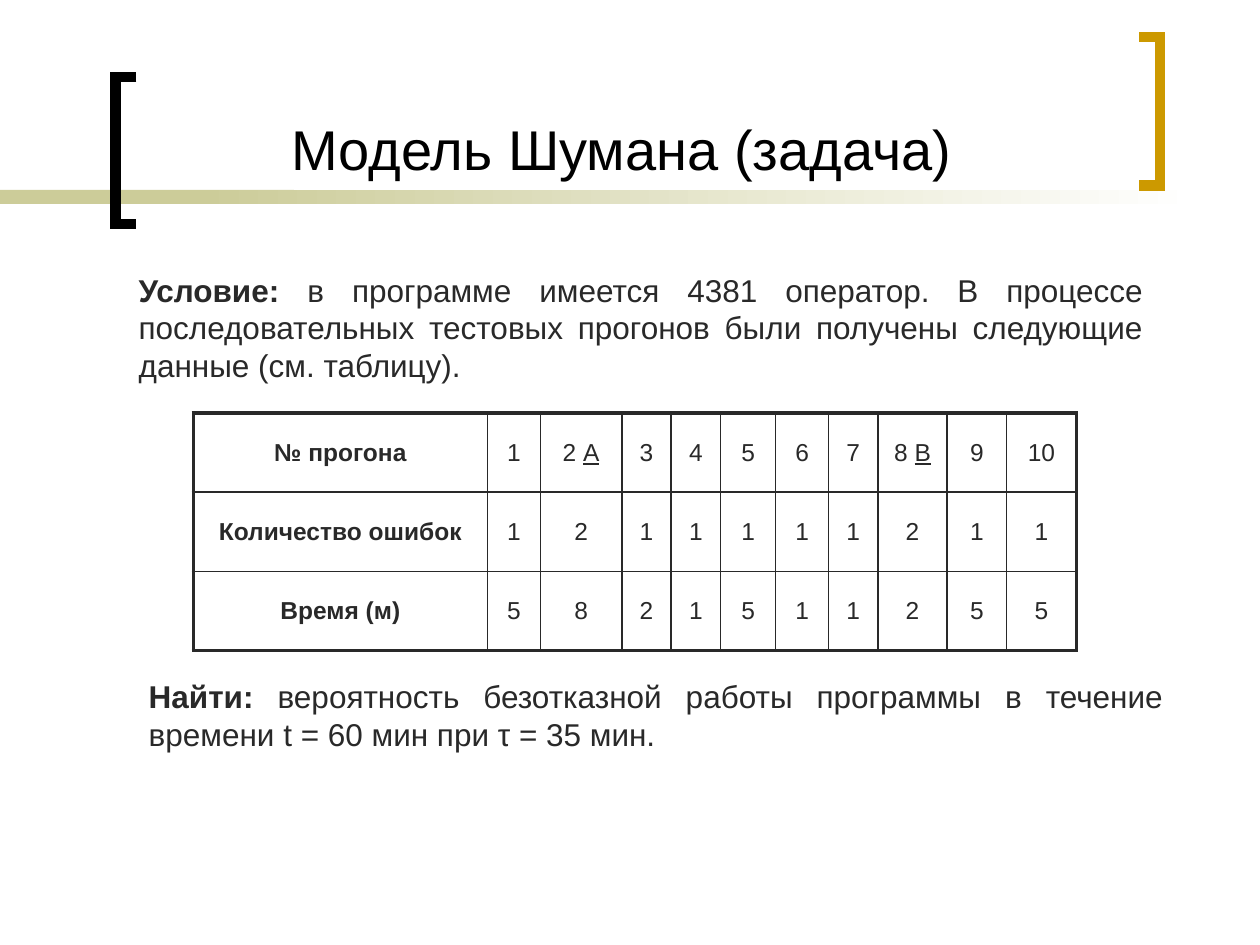
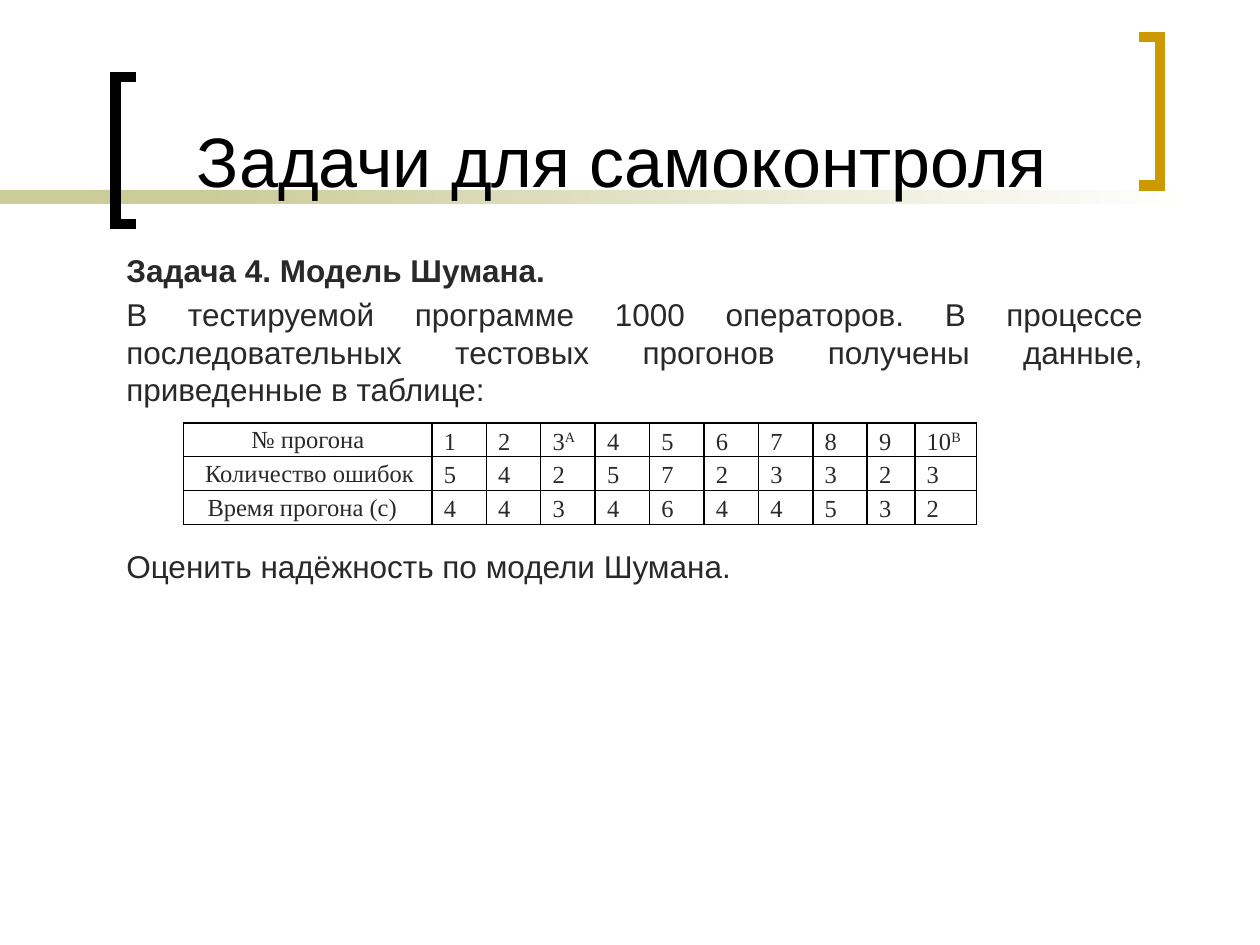
from lxml import etree
from pptx import Presentation
from pptx.dml.color import RGBColor
from pptx.enum.shapes import MSO_SHAPE
from pptx.enum.text import MSO_ANCHOR as ANCHOR, MSO_AUTO_SIZE as AUTO_SIZE, PP_ALIGN as ALIGN
from pptx.oxml.ns import qn
from pptx.util import Pt

COLORS = {"black": "000000", "text": "292929", "band": "CCCC99",
          "gold": "CC9900", "white": "FFFFFF"}
SANS, SERIF = "Arial", "Times New Roman"
TITLE_ONLY = 5
BODY_SIZE, TABLE_SIZE = 18, 14
BODY_GAP = 3.6          # space before a body paragraph
THIN, THICK = 1, 2.25   # table borders
BAND_TOP, BAND_HEIGHT = 108.6, 8
BRACKET_HEIGHT, BRACKET_LINE = 84.2, 6


def rgb(name):
    return RGBColor.from_string(COLORS[name])


class Deck:
    """Holds the shared style and the current slide."""

    def __init__(self):
        self.prs = Presentation()
        self.prs.slide_width, self.prs.slide_height = Pt(720), Pt(540)
        self.slide = None

    def new_slide(self, title, top, height, size):
        layout = self.prs.slide_layouts[TITLE_ONLY]
        self.slide = self.prs.slides.add_slide(layout)
        self.band(left=0, width=168)
        self.band(left=114, width=570, fade=True)
        self.bracket(tip=78, spine=66.2, top=44, color="black")
        self.bracket(tip=651, spine=662.7, top=21.3, color="gold")
        self.title(title, top, height, size)

    # Text formatting
    def style(self, paragraph, size, align, color="text", font=SANS, bold=None):
        paragraph.alignment = align
        paragraph.font.size, paragraph.font.name = Pt(size), font
        paragraph.font.color.rgb = rgb(color)
        paragraph.font.bold = bold

    def indent(self, paragraph, left=0, first=0):
        props = paragraph._p.get_or_add_pPr()
        props.set("marL", str(Pt(left)))
        props.set("indent", str(Pt(first)))

    # Slide frame
    def title(self, text, top, height, size):
        title = self.slide.shapes.title
        title.left, title.top = Pt(73.4), Pt(top)
        title.width, title.height = Pt(563.8), Pt(height)
        frame = title.text_frame
        frame.text = text
        frame.auto_size = AUTO_SIZE.NONE
        frame.vertical_anchor = ANCHOR.BOTTOM
        self.style(frame.paragraphs[0], size, ALIGN.CENTER, "black")
        # The title lies above the bands and brackets
        self.slide.shapes._spTree.append(title._element)

    def band(self, left, width, fade=False):
        band = self.slide.shapes.add_shape(
            MSO_SHAPE.RECTANGLE, Pt(left), Pt(BAND_TOP), Pt(width), Pt(BAND_HEIGHT))
        band.shadow.inherit = False
        band.line.fill.background()
        if fade:
            band.fill.gradient()
            band.fill.gradient_angle = 0
            start, end = band.fill.gradient_stops
            start.position, start.color.rgb = 0, rgb("band")
            end.position, end.color.rgb = 1, rgb("white")
        else:
            band.fill.solid()
            band.fill.fore_color.rgb = rgb("band")

    def bracket(self, tip, spine, top, color):
        """Both arms run from the spine to the tip, so it opens towards the tip."""
        bottom = top + BRACKET_HEIGHT
        outline = self.slide.shapes.build_freeform(tip, top, scale=Pt(1))
        outline.add_line_segments([(spine, top), (spine, bottom), (tip, bottom)], close=False)
        bracket = outline.convert_to_shape()
        bracket.shadow.inherit = False
        bracket.fill.background()
        bracket.line.width = Pt(BRACKET_LINE)
        bracket.line.color.rgb = rgb(color)
        line = bracket._element.spPr.find(qn("a:ln"))
        etree.SubElement(line, qn("a:miter"), lim="800000")

    # Body text
    def text(self, left, top, width, height, paragraphs, indent=0):
        """Each paragraph is (bold lead, plain rest, space before)."""
        box = self.slide.shapes.add_textbox(Pt(left), Pt(top), Pt(width), Pt(height))
        frame = box.text_frame
        frame.word_wrap = True
        for number, (lead, rest, before) in enumerate(paragraphs):
            paragraph = frame.add_paragraph() if number else frame.paragraphs[0]
            self.style(paragraph, BODY_SIZE, ALIGN.JUSTIFY)
            self.indent(paragraph, indent)
            paragraph.space_before = Pt(before)
            for words, bold in ((lead, True), (rest, False)):
                if words:
                    run = paragraph.add_run()
                    run.text, run.font.bold = words, bold

    # Tables
    def border(self, cell, color, widths):
        """Widths go left, right, top, bottom."""
        props = cell._tc.get_or_add_tcPr()
        for place, (side, width) in enumerate(zip("LRTB", widths)):
            line = etree.Element(qn(f"a:ln{side}"), w=str(Pt(width)))
            fill = etree.SubElement(line, qn("a:solidFill"))
            etree.SubElement(fill, qn("a:srgbClr"), val=COLORS[color])
            props.insert(place, line)

    def table(self, left, top, columns, row_height, rows, format_cell, color, outer):
        """A mark after "|" in a value becomes a run of its own."""
        last_row, last_col = len(rows) - 1, len(columns) - 1
        table = self.slide.shapes.add_table(
            len(rows), len(columns), Pt(left), Pt(top),
            Pt(sum(columns)), Pt(row_height * len(rows))).table
        table.first_row = table.horz_banding = False
        for column, width in zip(table.columns, columns):
            column.width = Pt(width)
        for r, values in enumerate(rows):
            table.rows[r].height = Pt(row_height)
            for c, value in enumerate(values):
                cell = table.cell(r, c)
                cell.fill.background()
                cell.vertical_anchor = ANCHOR.MIDDLE
                paragraph = cell.text_frame.paragraphs[0]
                for part in value.split("|"):
                    paragraph.add_run().text = part
                format_cell(cell, paragraph, r, c)
                edges = (c == 0, c == last_col, r == 0, r == last_row)
                self.border(cell, color, [outer if edge else THIN for edge in edges])

    # Cell formats
    def centred_cell(self, cell, paragraph, row, col):
        """Bold label in the first column, underlined marks."""
        self.style(paragraph, TABLE_SIZE, ALIGN.CENTER, bold=col == 0)
        paragraph.space_before = Pt(2.8)
        for mark in paragraph.runs[1:]:
            mark.font.underline = True

    def compact_cell(self, cell, paragraph, row, col):
        """Serif text without vertical margins, raised marks."""
        cell.margin_left = cell.margin_right = Pt(5)
        cell.margin_top = cell.margin_bottom = 0
        align, first = ALIGN.JUSTIFY, 1.8
        if col == 0:
            cell.vertical_anchor = ANCHOR.TOP
            align, first = [(ALIGN.CENTER, 0), (ALIGN.JUSTIFY, 7.2), (ALIGN.JUSTIFY, 8.6)][row]
        self.style(paragraph, TABLE_SIZE, align, font=SERIF)
        self.indent(paragraph, first=first)
        paragraph.line_spacing = 1.15
        paragraph.space_before = Pt(1.4)
        for mark in paragraph.runs[1:]:
            mark.font._element.set("baseline", "30000")


def worked_problem(deck):
    deck.new_slide("Модель Шумана (задача)", top=54.2, height=53.3, size=32)
    condition = ("в программе имеется 4381 оператор. В процессе последовательных тестовых "
                 "прогонов были получены следующие данные (см. таблицу).")
    question = ("вероятность безотказной работы программы в течение времени "
                "t = 60 мин при τ = 35 мин.")
    label_width = 168.2
    run_widths = [30.2, 46.6, 28.2, 28.2, 31.6, 30.2, 28.2, 39.6, 34, 39.8]
    test_runs = [
        ["№ прогона", "1", "2 |A", "3", "4", "5", "6", "7", "8 |B", "9", "10"],
        ["Количество ошибок", "1", "2", "1", "1", "1", "1", "1", "2", "1", "1"],
        ["Время (м)", "5", "8", "2", "1", "5", "1", "1", "2", "5", "5"],
    ]
    deck.text(36.8, 151.1, 623.5, 85, [("Условие: ", condition, BODY_GAP)], indent=35.4)
    deck.table(110.4, 236.1, [label_width, *run_widths], 45.2, test_runs,
               deck.centred_cell, color="text", outer=THICK)
    deck.text(42.5, 383.3, 629.3, 136, [("Найти: ", question, BODY_GAP)], indent=35.4)


def self_check_problem(deck):
    deck.new_slide("Задачи для самоконтроля", top=7.4, height=111.6, size=40)
    condition = ("В тестируемой программе 1000 операторов. В процессе последовательных "
                 "тестовых прогонов получены данные, приведенные в таблице:")
    table_gap = 79.4  # room for the table between two paragraphs
    label_width = 141.8
    run_widths = [31.1] * 8 + [27.2, 35.4]
    test_runs = [
        ["№ прогона", "1", "2", "3|A", "4", "5", "6", "7", "8", "9", "10|B"],
        ["Количество ошибок", "5", "4", "2", "5", "7", "2", "3", "3", "2", "3"],
        ["Время прогона (с)", "4", "4", "3", "4", "6", "4", "4", "5", "3", "2"],
    ]
    deck.text(65.1, 139.7, 595.2, 385, [
        ("Задача 4. Модель Шумана.", "", BODY_GAP),
        ("", condition, BODY_GAP),
        ("", "Оценить надёжность по модели Шумана.", table_gap),
    ])
    deck.table(105, 241.6, [label_width, *run_widths], 17.9, test_runs,
               deck.compact_cell, color="black", outer=THIN)


def main():
    deck = Deck()
    worked_problem(deck)
    self_check_problem(deck)
    deck.prs.save("out.pptx")


if __name__ == "__main__":
    main()
